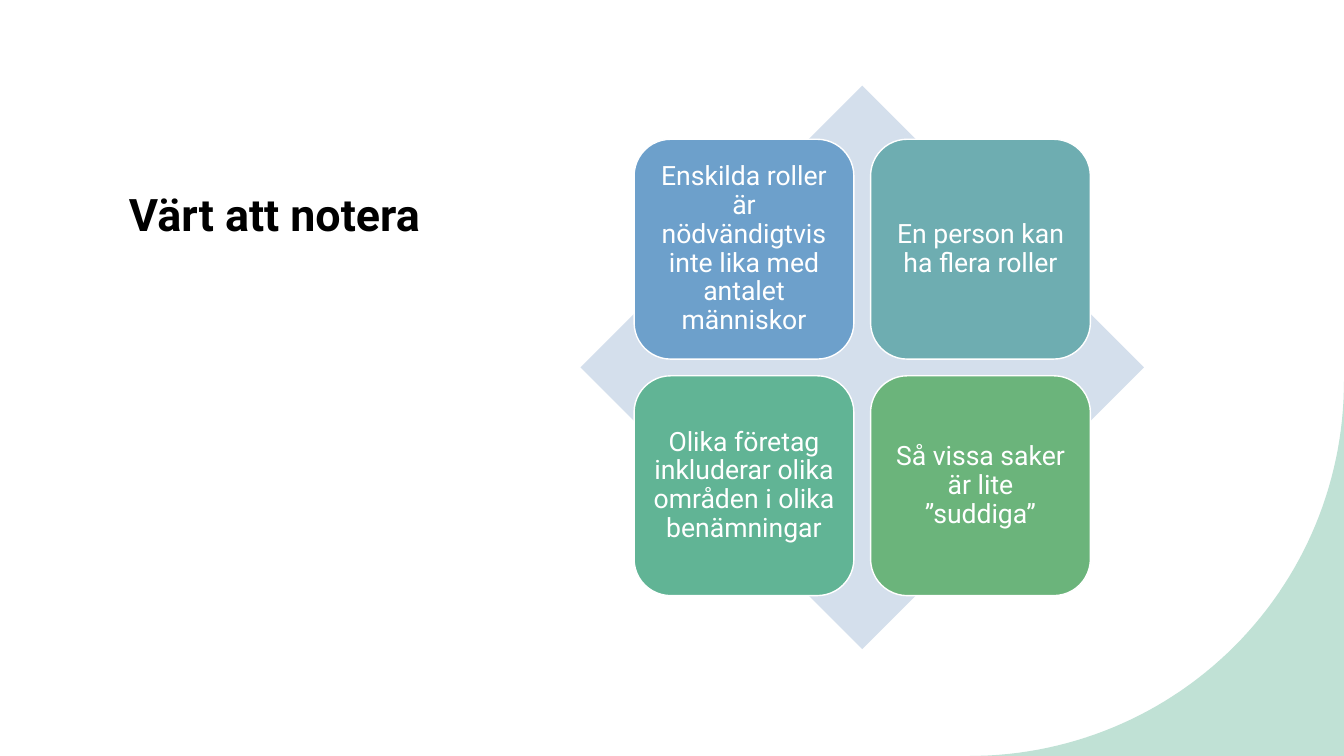
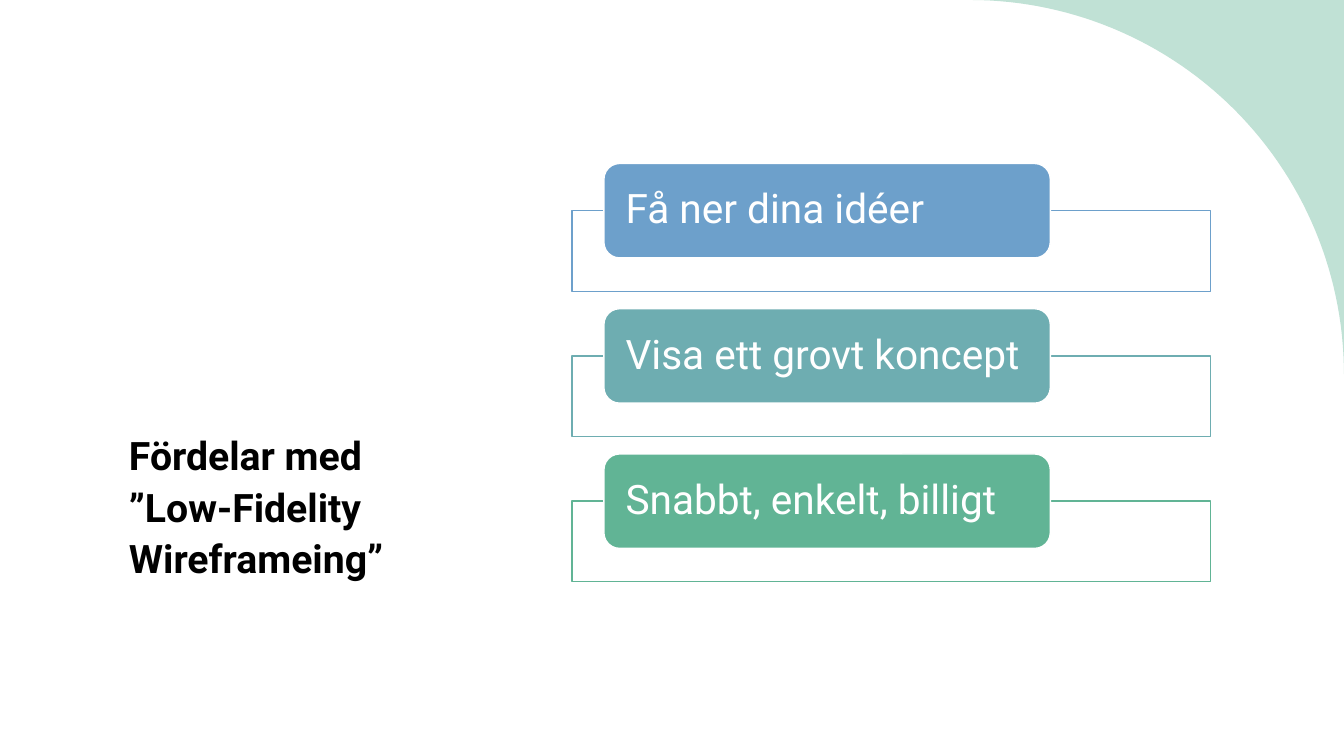
"""Build two slides: role notes in a matrix and the benefits of low-fidelity wireframes."""
from dataclasses import dataclass
from math import cos, pi, sin

from lxml.etree import SubElement
from pptx import Presentation
from pptx.dml.color import RGBColor
from pptx.enum.shapes import MSO_SHAPE as SHAPE
from pptx.enum.text import MSO_ANCHOR as ANCHOR, MSO_AUTO_SIZE as AUTO, PP_ALIGN as ALIGN
from pptx.oxml.ns import qn
from pptx.util import Cm, Pt


@dataclass(frozen=True)
class Theme:
    font: str = "Roboto"
    black: str = "000000"
    white: str = "FFFFFF"
    corner: str = "C0E1D5"
    diamond: str = "D4DFEC"
    accents: tuple = ("6DA0CB", "6EADB1", "61B495", "6BB47B")
    title: int = 32
    long_title: int = 28
    tile: int = 19
    bar: int = 29


THEME = Theme()
WIDTH, HEIGHT, RADIUS = 33.87, 19.05, 9.43


def write(sp, text, *, size, color, bold=False, align=ALIGN.LEFT,
          anchor=ANCHOR.MIDDLE, spacing=0.9, inset=(0.25, 0.13)):
    tf = sp.text_frame
    tf.word_wrap = True
    tf.auto_size = AUTO.NONE
    tf.vertical_anchor = anchor
    tf.margin_left = tf.margin_right = Cm(inset[0])
    tf.margin_top = tf.margin_bottom = Cm(inset[1])
    p = tf.paragraphs[0]
    p.alignment = align
    p.line_spacing = spacing
    r = p.add_run()
    r.text = text
    r.font.name = THEME.font
    r.font.size = Pt(size)
    r.font.bold = bold
    r.font.color.rgb = RGBColor.from_string(color)


class Deck:
    def __init__(self, theme):
        self.theme = theme
        self.prs = Presentation()
        self.prs.slide_width, self.prs.slide_height = Cm(WIDTH), Cm(HEIGHT)
        self.s = None

    def add_slide(self):
        self.s = self.prs.slides.add_slide(self.prs.slide_layouts[5])

    def title(self, text, width, height, size, anchor):
        sp = self.s.shapes.title
        sp.left, sp.top, sp.width, sp.height = Cm(3), Cm(4.45), Cm(width), Cm(height)
        write(sp, text, size=size, color=self.theme.black, bold=True,
              anchor=anchor, spacing=1.1)

    def paint(self, sp, fill, line=None, alpha=None):
        sp.shadow.inherit = False
        sp.fill.solid()
        sp.fill.fore_color.rgb = RGBColor.from_string(fill)
        if alpha is not None:
            color = sp.fill._xPr.find(qn("a:solidFill"))[0]
            SubElement(color, qn("a:alpha"), val=str(alpha * 1000))
        if line is None:
            sp.line.fill.background()
        else:
            sp.line.color.rgb = RGBColor.from_string(line)
            sp.line.width = Pt(1)

    def shape(self, kind, left, top, width, height, fill, line=None, alpha=None):
        sp = self.s.shapes.add_shape(kind, Cm(left), Cm(top), Cm(width), Cm(height))
        self.paint(sp, fill, line, alpha)
        return sp

    def corner(self, at_top=False, steps=60):
        edge, side = (0, -1) if at_top else (HEIGHT, 1)
        cx, cy = WIDTH - RADIUS, edge - side * RADIUS
        angles = [pi / 2 * i / steps for i in range(steps + 1)]
        arc = [(Cm(cx + RADIUS * cos(a)), Cm(cy + side * RADIUS * sin(a))) for a in angles]
        builder = self.s.shapes.build_freeform(Cm(WIDTH), Cm(edge))
        builder.add_line_segments(arc, close=True)
        self.paint(builder.convert_to_shape(), self.theme.corner)

    def matrix(self, texts, left=15.98, top=3.51, side=5.54, pitch=5.96):
        t = self.theme
        span, diamond = pitch + side, 14.2
        margin = (diamond - span) / 2
        self.shape(SHAPE.DIAMOND, left - margin, top - margin, diamond, diamond, t.diamond)
        for i, (text, color) in enumerate(zip(texts, t.accents)):
            row, col = divmod(i, 2)
            sp = self.shape(SHAPE.ROUNDED_RECTANGLE, left + col * pitch, top + row * pitch,
                            side, side, color, t.white)
            write(sp, text, size=t.tile, color=t.white, align=ALIGN.CENTER, inset=(0.2, 0.2))

    def bars(self, texts, left=14.42, top=5.31, pitch=3.66):
        t = self.theme
        for i, (text, color) in enumerate(zip(texts, t.accents)):
            y = top + i * pitch
            self.shape(SHAPE.RECTANGLE, left, y, 16.08, 2.03, t.white, color, alpha=90)
            sp = self.shape(SHAPE.ROUNDED_RECTANGLE, left + 0.8, y - 1.19, 11.25, 2.38,
                            color, t.white)
            write(sp, text, size=t.bar, color=t.white, inset=(0.43, 0))


def main():
    deck = Deck(THEME)

    deck.add_slide()
    deck.title("Värt att notera", 8.33, 9.88, THEME.title, ANCHOR.TOP)
    deck.corner()
    deck.matrix([
        "Enskilda roller är nödvändigtvis inte lika med antalet människor",
        "En person kan ha flera roller",
        "Olika företag inkluderar olika områden i olika benämningar",
        "Så vissa saker är lite ”suddiga”",
    ])

    deck.add_slide()
    deck.title("Fördelar med ”Low-Fidelity Wireframeing”", 9.07, 10.34,
               THEME.long_title, ANCHOR.BOTTOM)
    deck.corner(at_top=True)
    deck.bars(["Få ner dina idéer", "Visa ett grovt koncept", "Snabbt, enkelt, billigt"])

    deck.prs.save("out.pptx")


if __name__ == "__main__":
    main()
